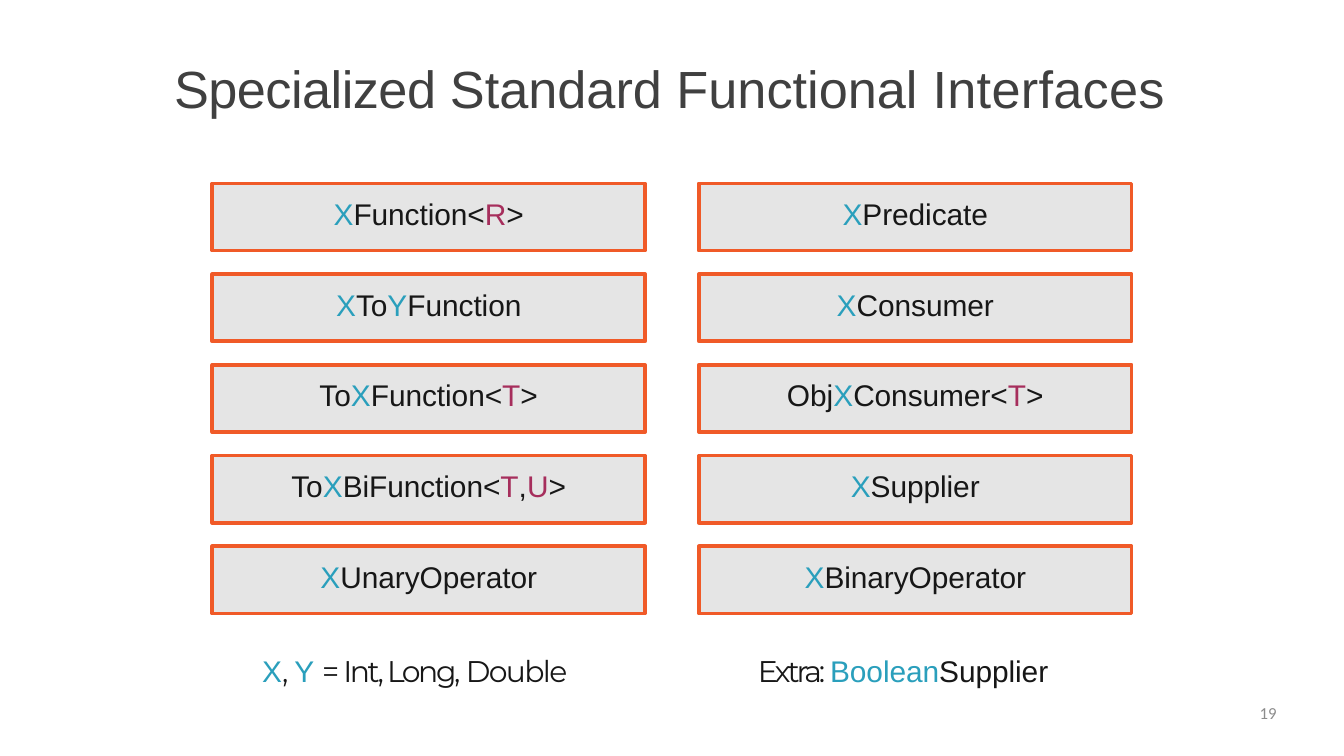
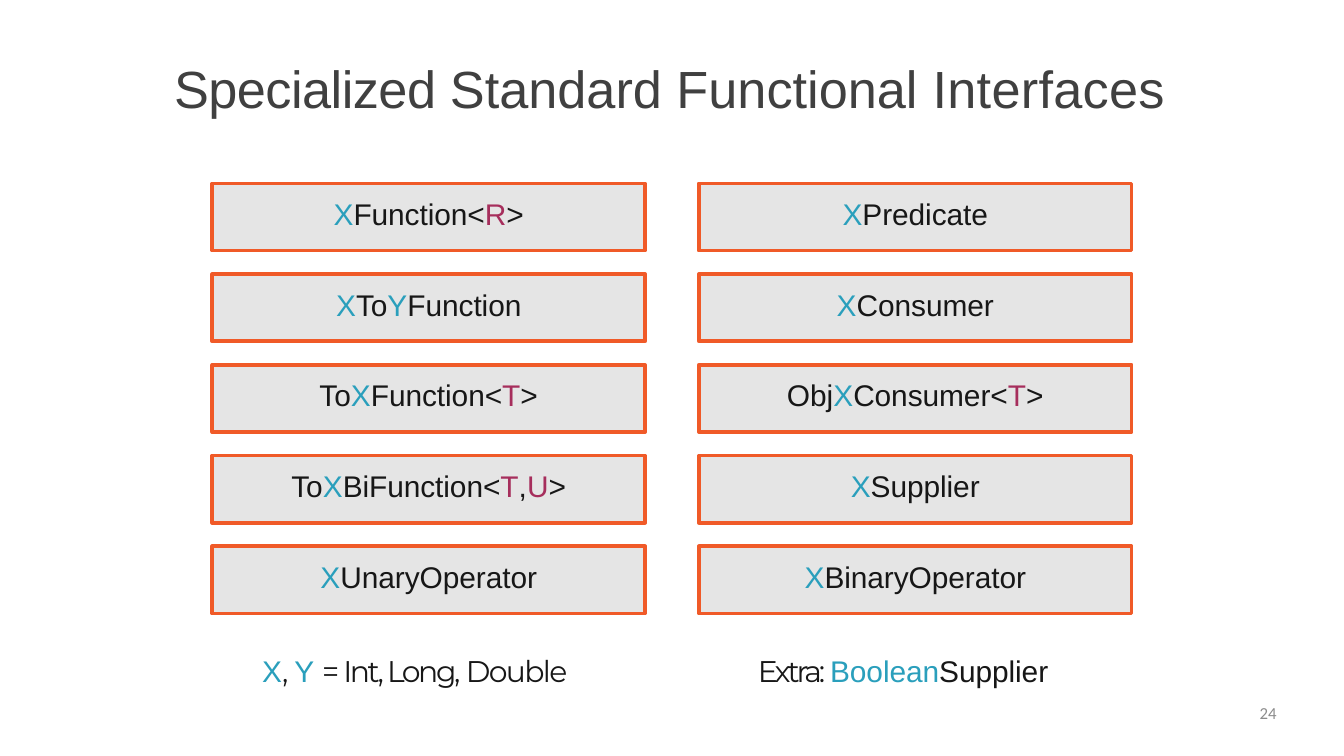
from typing import NamedTuple

from pptx import Presentation
from pptx.dml.color import RGBColor
from pptx.enum import shapes, text
from pptx.util import Inches, Pt

# Shared colours and fonts
GRAY = RGBColor(0x40, 0x40, 0x40)
INK = RGBColor(0x17, 0x17, 0x17)
BLUE = RGBColor(0x2A, 0x9F, 0xBC)
BERRY = RGBColor(0xA6, 0x2E, 0x5C)
PALE = RGBColor(0xE5, 0xE5, 0xE5)
ORANGE = RGBColor(0xF0, 0x5A, 0x28)
DIM = RGBColor(0x8C, 0x8C, 0x8C)
SANS, GEO = "Arial", "Montserrat"


class Bit(NamedTuple):
    """A piece of text with its look; gap is the letter spacing in points."""
    words: str
    color: RGBColor = INK
    font: str = SANS
    gap: float = 0
    size: int = 32


class Note(NamedTuple):
    left: float
    top: float
    width: float
    bits: list[Bit]
    align: text.PP_ALIGN = text.PP_ALIGN.LEFT
    inset: float = 0.01


TITLE = [
    Bit("Specialized ", GRAY, gap=-0.6, size=56),
    Bit("Standard Functional ", GRAY, size=56),
    Bit("Interfaces", GRAY, gap=0.3, size=56),
]

# Interface names by column; bars split the type letters from the rest
GRID = [
    ["X|Function<|R|>", "X|To|Y|Function", "To|X|Function<|T|>",
     "To|X|BiFunction<|T|,|U|>", "X|UnaryOperator"],
    ["X|Predicate", "X|Consumer", "Obj|X|Consumer<|T|>",
     "X|Supplier", "X|BinaryOperator"],
]
HUES = {"X": BLUE, "Y": BLUE, "R": BERRY, "T": BERRY, "U": BERRY}
LEFT, TOP, STEP_X, STEP_Y = 3.16, 2.73, 7.24, 1.35
WIDE, HIGH = 6.44, 1

NOTES = [
    Note(3.9, 9.7, 4.89, [
        Bit("X", BLUE, gap=-1.9),
        Bit(", ", font=GEO, gap=-1.9),
        Bit("Y ", BLUE),
        Bit("= ", font=GEO, gap=-4.2),
        Bit("Int, Long, ", font=GEO, gap=-2.6),
        Bit("Double", font=GEO, gap=-1.8),
    ]),
    Note(11.28, 9.7, 4.6, [
        Bit("Extra: ", font=GEO, gap=-3.2),
        Bit("Boolean", BLUE, gap=-0.1),
        Bit("Supplier", gap=-0.1),
    ]),
]


def write(shape, bits: list[Bit], align: text.PP_ALIGN, inset: float) -> None:
    """Fill a shape with one line of styled runs."""
    frame = shape.text_frame
    frame.word_wrap = True
    frame.auto_size = text.MSO_AUTO_SIZE.NONE
    frame.vertical_anchor = text.MSO_ANCHOR.TOP
    frame.margin_left = frame.margin_right = frame.margin_bottom = 0
    frame.margin_top = Inches(inset)
    para = frame.paragraphs[0]
    para.alignment = align
    para.line_spacing = 1.0
    para.space_before = Pt(0)
    for bit in bits:
        run = para.add_run()
        run.text = bit.words
        run.font.name = bit.font
        run.font.size = Pt(bit.size)
        run.font.color.rgb = bit.color
        if bit.gap:
            run._r.get_or_add_rPr().set("spc", str(round(bit.gap * 100)))


def add_title(slide) -> None:
    title = slide.shapes.title
    title.left, title.top = Inches(2.59), Inches(0.82)
    title.width, title.height = Inches(14.83), Inches(0.96)
    write(title, TITLE, text.PP_ALIGN.LEFT, 0.01)


def add_card(slide, left: float, top: float, name: str) -> None:
    card = slide.shapes.add_shape(
        shapes.MSO_SHAPE.RECTANGLE,
        Inches(left), Inches(top), Inches(WIDE), Inches(HIGH))
    card.shadow.inherit = False
    card.fill.solid()
    card.fill.fore_color.rgb = PALE
    card.line.color.rgb = ORANGE
    card.line.width = Pt(4)
    bits = [Bit(word, HUES.get(word, INK), gap=-0.1) for word in name.split("|")]
    write(card, bits, text.PP_ALIGN.CENTER, 0.18)


def add_note(slide, note: Note) -> None:
    box = slide.shapes.add_textbox(
        Inches(note.left), Inches(note.top), Inches(note.width), Inches(0.56))
    write(box, note.bits, note.align, note.inset)


def add_slide(deck, number: int) -> None:
    slide = deck.slides.add_slide(deck.slide_layouts.get_by_name("Title Only"))
    add_title(slide)
    # Grid of interfaces
    for col, names in enumerate(GRID):
        for row, name in enumerate(names):
            add_card(slide, LEFT + col * STEP_X, TOP + row * STEP_Y, name)
    # Notes and page number
    page = Note(14.4, 10.46, 4.6, [Bit(str(number), DIM, "Calibri", size=18)],
                text.PP_ALIGN.RIGHT, 0)
    for note in [*NOTES, page]:
        add_note(slide, note)


def main() -> None:
    deck = Presentation()
    deck.slide_width, deck.slide_height = Inches(20), Inches(11.25)
    for number in (19, 24):
        add_slide(deck, number)
    deck.save("out.pptx")


if __name__ == "__main__":
    main()
